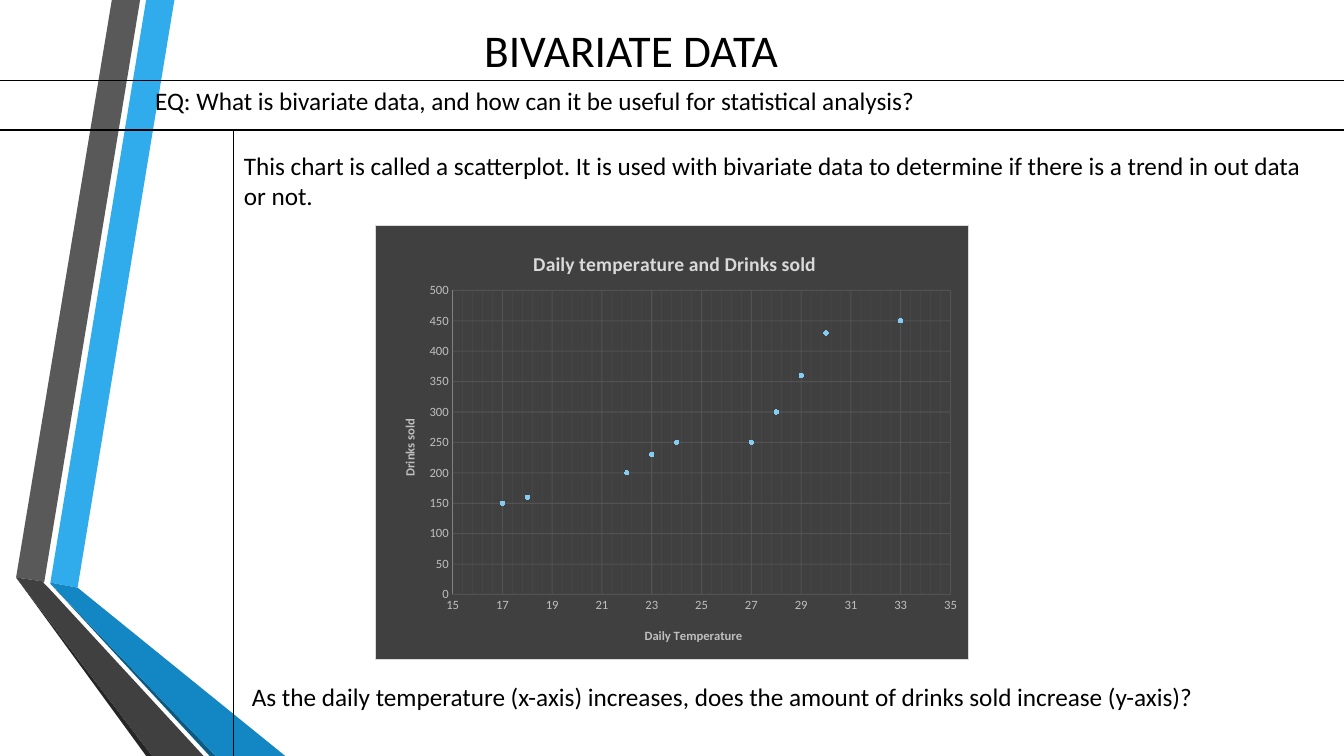
from copy import deepcopy

from lxml import etree
from pptx import Presentation
from pptx.chart.data import XyChartData
from pptx.dml.color import RGBColor
from pptx.enum import chart as ch, shapes, text
from pptx.oxml import parse_xml
from pptx.oxml.ns import nsdecls, qn
from pptx.util import Inches, Pt

COLORS = {
    "ink": "000000", "blue": "30ACEC", "blue_fold": "1287C3", "blue_edge": "0C5A82",
    "gray": "595959", "gray_fold": "404040", "gray_edge": "262626",
    "panel": "404040", "panel_border": "D9D9D9", "grid": "595959", "axis": "808080",
    "heading": "D9D9D9", "label": "BFBFBF", "marker": "83CDF4",
}
FONT = "Calibri"
SLIDE_W, SLIDE_H = 13.33, 7.5
TITLE_RULE, QUESTION_RULE, MARGIN_RULE = 0.8, 1.29, 2.32

RIBBONS = [
    ("blue", [(0.5, 5.78), (0.77, 5.83), (1.73, 0), (1.45, 0)]),
    ("gray", [(1.39, 0), (1.11, 0), (0.16, 5.73), (0.44, 5.77)]),
    ("gray_edge", [(0.16, 5.73), (1.45, 7.5), (1.51, 7.5)]),
    ("blue_edge", [(0.5, 5.79), (2.08, 7.5), (2.14, 7.5)]),
    ("blue_fold", [(0.5, 5.79), (2.14, 7.5), (2.83, 7.5), (0.77, 5.83), (0.5, 5.78)]),
    ("gray_fold", [(2.02, 7.5), (0.48, 5.83), (0.43, 5.78), (0.44, 5.77),
                   (0.16, 5.73), (1.51, 7.5)]),
]
DRINKS_BY_TEMPERATURE = [(18, 160), (22, 200), (24, 250), (33, 450), (30, 430),
                         (28, 300), (29, 360), (17, 150), (23, 230), (27, 250)]


def rgb(name):
    return RGBColor.from_string(COLORS[name])


def set_font(font, color, **values):
    """Apply the slide font, a colour and any further font values."""
    for key, value in {"name": FONT, **values}.items():
        setattr(font, key, value)
    font.color.rgb = rgb(color)


def add_ribbons(slide):
    for color, corners in RIBBONS:
        points = [(Inches(x), Inches(y)) for x, y in corners]
        builder = slide.shapes.build_freeform(*points[0])
        builder.add_line_segments(points[1:], close=True)
        ribbon = builder.convert_to_shape()
        ribbon.shadow.inherit = False
        ribbon.fill.solid()
        ribbon.fill.fore_color.rgb = rgb(color)
        ribbon.line.fill.background()


def add_rule(slide, start, end):
    rule = slide.shapes.add_connector(
        shapes.MSO_CONNECTOR.STRAIGHT, *map(Inches, start + end))
    rule.line.color.rgb = rgb("ink")
    rule.line.width = Pt(0.75)
    etree.SubElement(rule.element.spPr, qn("a:effectLst"))


def add_text(slide, box, words, size=18, align=text.PP_ALIGN.LEFT,
             anchor=text.MSO_ANCHOR.TOP):
    frame = slide.shapes.add_textbox(*map(Inches, box)).text_frame
    frame.word_wrap = True
    frame.vertical_anchor = anchor
    paragraph = frame.paragraphs[0]
    paragraph.text = words
    paragraph.alignment = align
    set_font(paragraph.runs[0].font, "ink", size=Pt(size))


def layout_xml(x, y, size=None):
    """Manual chart layout in fractions; a size marks the inner plot area."""
    parts = [("xMode", "edge"), ("yMode", "edge"), ("x", x), ("y", y)]
    if size:
        parts = [("layoutTarget", "inner")] + parts + [("w", size[0]), ("h", size[1])]
    body = "".join(f'<c:{tag} val="{value}"/>' for tag, value in parts)
    return parse_xml(f'<c:layout {nsdecls("c")}><c:manualLayout>{body}'
                     '</c:manualLayout></c:layout>')


def place(element, index, layout):
    """Give a chart element one layout as its child at the index."""
    for old in element.findall(qn("c:layout")):
        element.remove(old)
    element.insert(index, layout)


def style_title(owner, words, size, color):
    owner.has_title = True
    title = owner.chart_title if hasattr(owner, "chart_title") else owner.axis_title
    paragraph = title.text_frame.paragraphs[0]
    paragraph.text = words
    set_font(paragraph.runs[0].font, color, size=Pt(size), bold=True)


def style_axis(axis, title, low, high, step):
    scale = {"minimum_scale": low, "maximum_scale": high, "major_unit": step,
             "major_tick_mark": ch.XL_TICK_MARK.NONE,
             "minor_tick_mark": ch.XL_TICK_MARK.NONE, "has_major_gridlines": True}
    for key, value in scale.items():
        setattr(axis, key, value)
    set_font(axis.tick_labels.font, "label", size=Pt(9))
    style_title(axis, title, 9, "label")
    grid_line = axis.major_gridlines.format.line
    grid_line.color.rgb = rgb("grid")
    grid_line.width = Pt(0.75)


def style_panel(chart):
    """Paint the chart background, fade the gridlines and fix the layout."""
    space = chart.element
    panel = parse_xml(
        f'<c:spPr {nsdecls("c", "a")}><a:solidFill><a:srgbClr val="{COLORS["panel"]}"/>'
        f'</a:solidFill><a:ln w="{Pt(0.75)}"><a:solidFill>'
        f'<a:srgbClr val="{COLORS["panel_border"]}"/></a:solidFill></a:ln></c:spPr>')
    space.find(qn("c:chart")).addnext(panel)
    for minor in space.iter(qn("c:minorGridlines")):
        minor.append(deepcopy(minor.getprevious().find(qn("c:spPr"))))
    for tag, opacity in (("c:majorGridlines", 75), ("c:minorGridlines", 25)):
        for grid in space.iter(qn(tag)):
            for color in grid.iter(qn("a:srgbClr")):
                etree.SubElement(color, qn("a:alpha"), val=str(opacity * 1000))
    plot_area = next(space.iter(qn("c:plotArea")))
    place(plot_area, 0, layout_xml(0.13, 0.15, (0.84, 0.7)))
    plot_area.append(parse_xml(
        f'<c:spPr {nsdecls("c", "a")}><a:noFill/><a:ln><a:noFill/></a:ln></c:spPr>'))
    title_spots = [(0.26, 0.05), (0.45, 0.92), (0.04, 0.44)]
    for title, spot in zip(space.iter(qn("c:title")), title_spots):
        place(title, 1, layout_xml(*spot))


def add_scatterplot(slide, box):
    data = XyChartData()
    points = data.add_series("Series 1")
    for temperature, drinks in DRINKS_BY_TEMPERATURE:
        points.add_data_point(temperature, drinks)
    chart = slide.shapes.add_chart(
        ch.XL_CHART_TYPE.XY_SCATTER, *map(Inches, box), data).chart
    set_font(chart.font, "ink", size=Pt(10))
    chart.has_legend = False
    chart.plots[0].vary_by_categories = False
    style_title(chart, "Daily temperature and Drinks sold", 14, "heading")

    temperature_axis, drinks_axis = chart.category_axis, chart.value_axis
    style_axis(temperature_axis, "Daily Temperature", 15, 35, 2)
    style_axis(drinks_axis, "Drinks sold", 0, 500, 50)
    temperature_axis.minor_unit = 0.4
    temperature_axis.has_minor_gridlines = True
    temperature_axis.format.line.fill.background()
    drinks_axis.format.line.color.rgb = rgb("axis")
    drinks_axis.format.line.width = Pt(0.75)

    series = chart.plots[0].series[0]
    series.smooth = False
    series.format.line.fill.background()
    series.marker.style = ch.XL_MARKER_STYLE.CIRCLE
    series.marker.size = 3
    series.marker.format.fill.solid()
    series.marker.format.fill.fore_color.rgb = rgb("marker")
    series.marker.format.line.fill.background()
    style_panel(chart)


def add_heading(slide):
    add_text(slide, (0.72, 0.18, 11.08, 0.62), "BIVARIATE DATA", 32.4,
             text.PP_ALIGN.CENTER, text.MSO_ANCHOR.MIDDLE)
    add_rule(slide, (0, TITLE_RULE), (SLIDE_W, TITLE_RULE))
    add_text(slide, (1.44, TITLE_RULE, 9.49, 0.4),
             "EQ: What is bivariate data, and how can it be useful for statistical analysis?")


def add_notes_area(slide):
    """Rules, explanation, chart and closing question below the heading."""
    add_rule(slide, (0, QUESTION_RULE), (SLIDE_W, QUESTION_RULE))
    add_rule(slide, (MARGIN_RULE, QUESTION_RULE), (MARGIN_RULE, SLIDE_H))
    add_text(slide, (MARGIN_RULE, 1.44, 10.83, 0.71),
             "This chart is called a scatterplot. It is used with bivariate data to "
             "determine if there is a trend in out data or not.")
    add_text(slide, (2.4, 6.71, 10.24, 0.4),
             "As the daily temperature (x-axis) increases, does the amount of drinks "
             "sold increase (y-axis)?")
    add_scatterplot(slide, (3.72, 2.23, 5.89, 4.32))


def main():
    deck = Presentation()
    deck.slide_width, deck.slide_height = Inches(SLIDE_W), Inches(SLIDE_H)
    slide = deck.slides.add_slide(deck.slide_layouts[6])
    add_ribbons(slide)
    add_notes_area(slide)
    add_heading(slide)
    deck.save("out.pptx")


if __name__ == "__main__":
    main()
